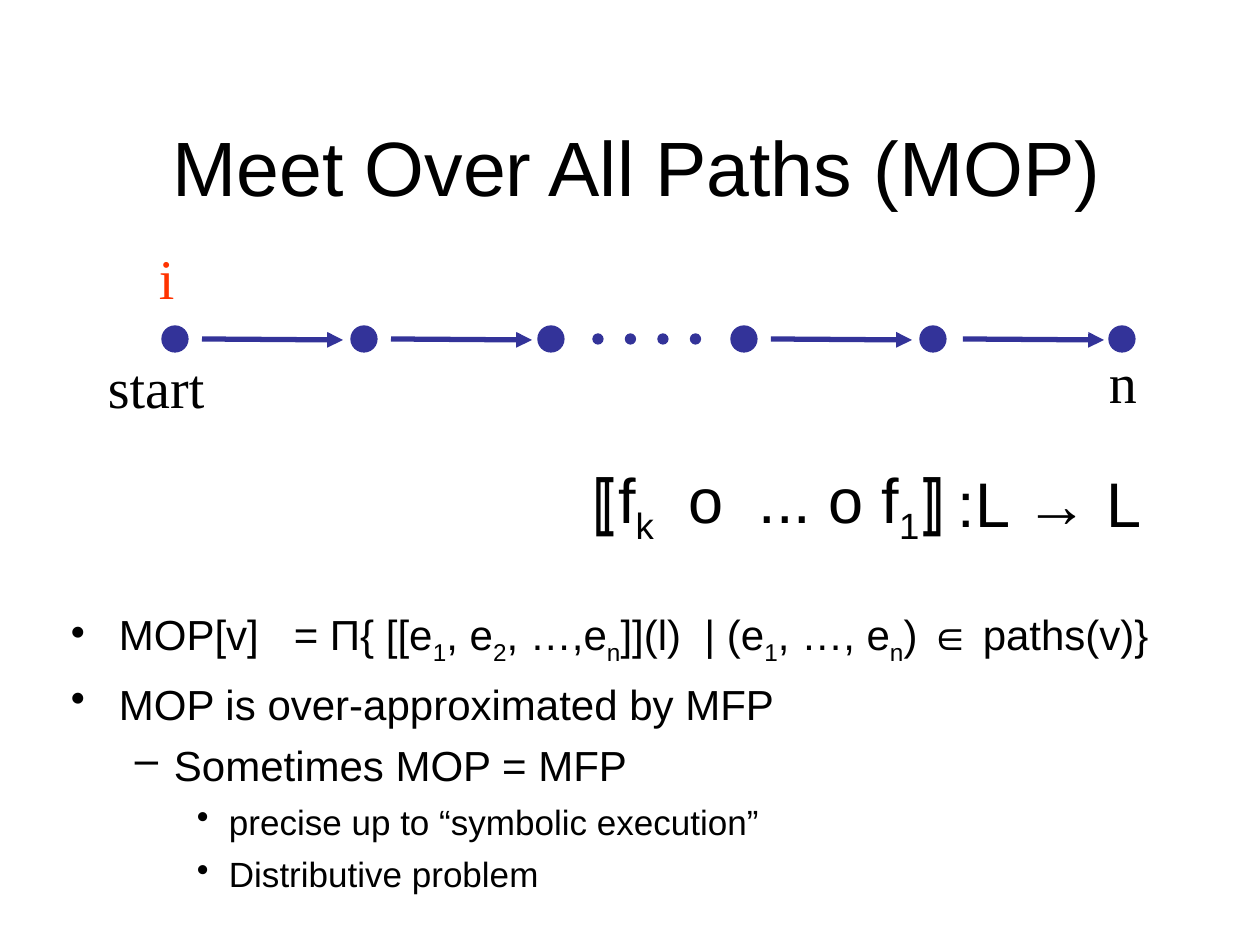
from lxml import etree
from pptx import Presentation
from pptx.dml.color import RGBColor
from pptx.enum.shapes import MSO_CONNECTOR, MSO_SHAPE
from pptx.enum.text import MSO_ANCHOR, PP_ALIGN
from pptx.oxml.ns import qn
from pptx.util import Emu, Pt

OVAL, STRAIGHT = MSO_SHAPE.OVAL, MSO_CONNECTOR.STRAIGHT
LEFT, CENTER, RIGHT = PP_ALIGN.LEFT, PP_ALIGN.CENTER, PP_ALIGN.RIGHT
TOP, MIDDLE = MSO_ANCHOR.TOP, MSO_ANCHOR.MIDDLE
BLACK, RED, BLUE = "000000", "FF3300", "333399"
SANS, SERIF = "Arial", "Times New Roman"

# Content: text runs alternate between normal and subscript
TITLE = ["Meet Over All Paths (MOP)"]
COMPOSITION = ["⟦f", "k", "  o  ... o f", "1", "⟧"]
SIGNATURE = [":L → L"]
PATH_LABELS = [  # text, colour, (left, top, width, height)
    ("start", BLACK, (103, 353, 123, 77)),
    ("n", BLACK, (1104, 348, 49, 77)),
    ("i", RED, (154, 244, 37, 77)),
]
BULLETS = [  # level, runs
    (0, ["MOP[v]   = Π{ [[e", "1", ", e", "2", ", …,e", "n", "]](l)  | (e", "1",
         ", …, e", "n", ") ∈ paths(v)}"]),
    (0, ["MOP is over-approximated by MFP"]),
    (1, ["Sometimes MOP = MFP"]),
    (2, ["precise up to “symbolic execution”"]),
    (2, ["Distributive problem"]),
]
LEVELS = [  # bullet, text indent px, hanging px, space before pt, size pt
    ("•", 53, 48, 7, 24),
    ("–", 108, 39, 6, 24),
    ("•", 163, 32, 6, 20),
]

# Path geometry in px
AXIS_Y = 339
NODE_SIZE, DOT_SIZE = 26, 10
NODE_XS = [175, 364, 551, 744, 933, 1122]
DOT_XS = [598 + 32.5 * step for step in range(4)]
ARROW_STARTS, ARROW_LENGTH = [202, 391, 771, 963], 141


def px(length):
    return Emu(round(length * 914400 / 126))


def color(hex_text):
    return RGBColor.from_string(hex_text)


def add_runs(paragraph, runs, size, font_name, hex_text=BLACK):
    for index, text in enumerate(runs):
        run = paragraph.add_run()
        run.text = text
        run.font.size = Pt(size)
        run.font.name = font_name
        run.font.color.rgb = color(hex_text)
        if index % 2:
            run._r.get_or_add_rPr().set("baseline", "-25000")


def add_frame(slide, box, insets=(0, 0, 5, 0), anchor=TOP, wrap=True):
    frame = slide.shapes.add_textbox(*map(px, box)).text_frame
    frame.word_wrap = wrap
    frame.vertical_anchor = anchor
    (frame.margin_left, frame.margin_top,
     frame.margin_right, frame.margin_bottom) = map(px, insets)
    return frame


def add_line_of_text(slide, box, runs, size, font_name, hex_text=BLACK,
                     align=LEFT, anchor=TOP, wrap=True, spacing=None):
    paragraph = add_frame(slide, box, anchor=anchor, wrap=wrap).paragraphs[0]
    paragraph.alignment = align
    paragraph.line_spacing = spacing
    paragraph._p.get_or_add_pPr().set("marL", str(px(5)))
    add_runs(paragraph, runs, size, font_name, hex_text)


def add_circle(slide, center_x, size):
    circle = slide.shapes.add_shape(
        OVAL, px(center_x - size / 2), px(AXIS_Y - size / 2), px(size), px(size))
    circle.shadow.inherit = False
    circle.fill.solid()
    circle.fill.fore_color.rgb = color(BLUE)
    circle.line.color.rgb = color(BLUE)
    circle.line.width = Pt(0.75)


def add_arrow(slide, start_x):
    arrow = slide.shapes.add_connector(
        STRAIGHT, px(start_x), px(AXIS_Y), px(start_x + ARROW_LENGTH), px(AXIS_Y + 1))
    arrow.line.color.rgb = color(BLUE)
    arrow.line.width = Pt(3)
    etree.SubElement(arrow.line._get_or_add_ln(), qn("a:tailEnd"), type="triangle")
    etree.SubElement(arrow._element.spPr, qn("a:effectLst"))


def add_bullets(slide, box):
    frame = add_frame(slide, box, insets=(8, 8, 18, 8))
    for index, (level, runs) in enumerate(BULLETS):
        bullet, indent, hanging, space, size = LEVELS[level]
        paragraph = frame.add_paragraph() if index else frame.paragraphs[0]
        properties = paragraph._p.get_or_add_pPr()
        properties.set("marL", str(px(indent)))
        properties.set("indent", str(-px(hanging)))
        bullet_color = etree.SubElement(properties, qn("a:buClr"))
        etree.SubElement(bullet_color, qn("a:srgbClr"), val=BLACK)
        etree.SubElement(properties, qn("a:buChar"), char=bullet)
        paragraph.level = level
        if index:
            paragraph.space_before = Pt(space)
        add_runs(paragraph, runs, size, SANS)


def main():
    deck = Presentation()
    deck.slide_width, deck.slide_height = px(1260), px(945)
    slide = deck.slides.add_slide(deck.slide_layouts[6])

    # Title
    add_line_of_text(slide, (58, 122, 1158, 100), TITLE, 44, SANS,
                     align=CENTER, anchor=MIDDLE, spacing=0.9)

    # Path from start to n
    for node_x in NODE_XS:
        add_circle(slide, node_x, NODE_SIZE)
    for start_x in ARROW_STARTS:
        add_arrow(slide, start_x)
    for dot_x in DOT_XS:
        add_circle(slide, dot_x, DOT_SIZE)
    for label, hex_text, box in PATH_LABELS:
        add_line_of_text(slide, box, [label], 32, SERIF, hex_text, wrap=False)

    # Bulleted definition
    add_bullets(slide, (58, 601, 1157, 344))

    # Composed transfer function and its type
    add_line_of_text(slide, (953, 464, 242, 93), SIGNATURE, 36, SANS)
    add_line_of_text(slide, (561, 465, 389, 77), COMPOSITION, 36, SANS,
                     align=RIGHT, anchor=MIDDLE, wrap=False)

    deck.save("out.pptx")


if __name__ == "__main__":
    main()
